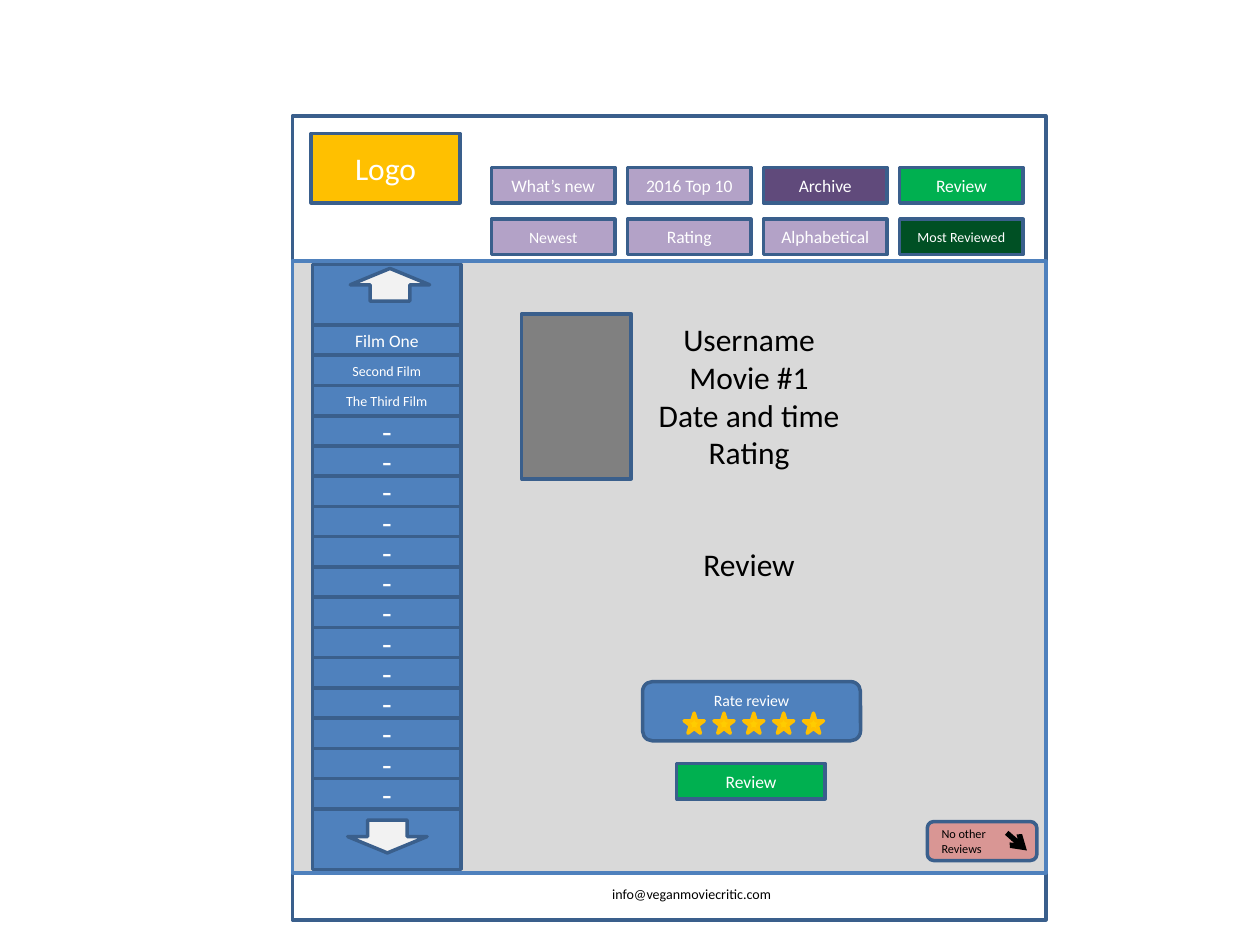
from pptx import Presentation
from pptx.dml.color import RGBColor
from pptx.enum.shapes import MSO_CONNECTOR, MSO_SHAPE
from pptx.enum.text import MSO_ANCHOR, PP_ALIGN
from pptx.oxml.ns import qn
from pptx.util import Inches, Pt
from lxml import etree

COLORS = {
    "white": "FFFFFF", "black": "000000", "border": "3A5F8C", "blue": "4F81BD",
    "panel": "D9D9D9", "poster": "808080", "arrow": "F2F2F2", "logo": "FFC000",
    "star": "FFCC00", "lilac": "B3A2C7", "purple": "604A7B", "green": "00B050",
    "dark green": "005024", "pink": "D99694",
}


def add_text(shape, lines, size, color, align=PP_ALIGN.CENTER, anchor=MSO_ANCHOR.MIDDLE):
    frame = shape.text_frame
    frame.word_wrap = True
    frame.vertical_anchor = anchor
    for index, line in enumerate(lines):
        paragraph = frame.add_paragraph() if index else frame.paragraphs[0]
        paragraph.alignment = align
        run = paragraph.add_run()
        run.text = line
        run.font.name = "Calibri"
        run.font.size = Pt(size)
        run.font.color.rgb = RGBColor.from_string(COLORS[color])


def add_box(shapes, left, top, width, height, fill, kind=MSO_SHAPE.RECTANGLE, line="border"):
    shape = shapes.add_shape(kind, Inches(left), Inches(top), Inches(width), Inches(height))
    shape.shadow.inherit = False
    shape.fill.solid()
    shape.fill.fore_color.rgb = RGBColor.from_string(COLORS[fill])
    shape.line.color.rgb = RGBColor.from_string(COLORS[line])
    shape.line.width = Pt(2)
    return shape


presentation = Presentation()
presentation.slide_width = Inches(10)
presentation.slide_height = Inches(7.5)
slide = presentation.slides.add_slide(presentation.slide_layouts[6])
shapes = slide.shapes

# Page frame and content panel
add_box(shapes, 2.32, 0.92, 5.98, 6.38, "white")
add_box(shapes, 2.32, 2.07, 5.98, 4.86, "panel", line="blue")

# Sidebar with the film list and scroll arrows
add_box(shapes, 2.48, 2.1, 1.18, 4.8, "blue")
films = [("Film One", 10), ("Second Film", 8), ("The Third Film", 8)] + [("-", 18)] * 13
for row, (film, size) in enumerate(films):
    item = add_box(shapes, 2.48, 2.58 + row * 0.24, 1.18, 0.24, "blue")
    add_text(item, [film], size, "white")
add_box(shapes, 2.76, 6.51, 0.63, 0.26, "arrow", MSO_SHAPE.DOWN_ARROW)
scroll_up = add_box(shapes, 2.78, 2.13, 0.63, 0.26, "arrow", MSO_SHAPE.DOWN_ARROW)
scroll_up.rotation = 180

# Header: logo box and two rows of buttons
logo_box = add_box(shapes, 2.47, 1.06, 1.18, 0.55, "logo")
add_text(logo_box, ["Logo"], 18, "white")
menu = [
    [("What’s new", 10, "lilac"), ("2016 Top 10", 10, "lilac"),
     ("Archive", 10, "purple"), ("Review", 10, "green")],
    [("Newest", 9, "lilac"), ("Rating", 10, "lilac"),
     ("Alphabetical", 10, "lilac"), ("Most Reviewed", 8, "dark green")],
]
for row, buttons in enumerate(menu):
    for column, (label, size, fill) in enumerate(buttons):
        button = add_box(shapes, 3.9 + column * 1.08, 1.33 + row * 0.41, 0.98, 0.28, fill)
        add_text(button, [label], size, "white")

# Film poster, review details and contact address
add_box(shapes, 4.14, 2.49, 0.87, 1.31, "poster")
texts = [
    (5, 2.49, 1.89, 1.31, ["Username", "Movie #1", "Date and time", "Rating"], 18, PP_ALIGN.CENTER),
    (5, 4.28, 1.89, 0.4, ["Review"], 18, PP_ALIGN.CENTER),
    (4.76, 6.98, 1.57, 0.24, ["info@veganmoviecritic.com"], 8, PP_ALIGN.LEFT),
]
for left, top, width, height, lines, size, align in texts:
    text_box = shapes.add_textbox(Inches(left), Inches(top), Inches(width), Inches(height))
    add_text(text_box, lines, size, "black", align, MSO_ANCHOR.TOP)

# Star rating
rating = shapes.add_group_shape()
rating_box = add_box(rating.shapes, 5.1, 5.41, 1.73, 0.47, "blue", MSO_SHAPE.ROUNDED_RECTANGLE)
add_text(rating_box, ["Rate review"], 9, "white", anchor=MSO_ANCHOR.TOP)
for number in range(5):
    add_box(rating.shapes, 5.43 + number * 0.71 / 3, 5.66, 0.16, 0.16, "star",
            MSO_SHAPE.STAR_5_POINT, "logo")

# Review button
review_button = add_box(shapes, 5.37, 6.06, 1.18, 0.28, "green")
add_text(review_button, ["Review"], 10, "white")

# Note with arrow
note = add_box(shapes, 7.36, 6.52, 0.87, 0.31, "pink", MSO_SHAPE.ROUNDED_RECTANGLE)
add_text(note, ["No other Reviews"], 7, "black", PP_ALIGN.LEFT)
arrow = shapes.add_connector(MSO_CONNECTOR.STRAIGHT, Inches(7.99), Inches(6.61),
                             Inches(8.15), Inches(6.75))
arrow.line.color.rgb = RGBColor.from_string(COLORS["black"])
arrow.line.width = Pt(3)
properties = arrow._element.spPr
etree.SubElement(properties.find(qn("a:ln")), qn("a:tailEnd"), type="arrow")
etree.SubElement(properties, qn("a:effectLst"))

presentation.save("out.pptx")
